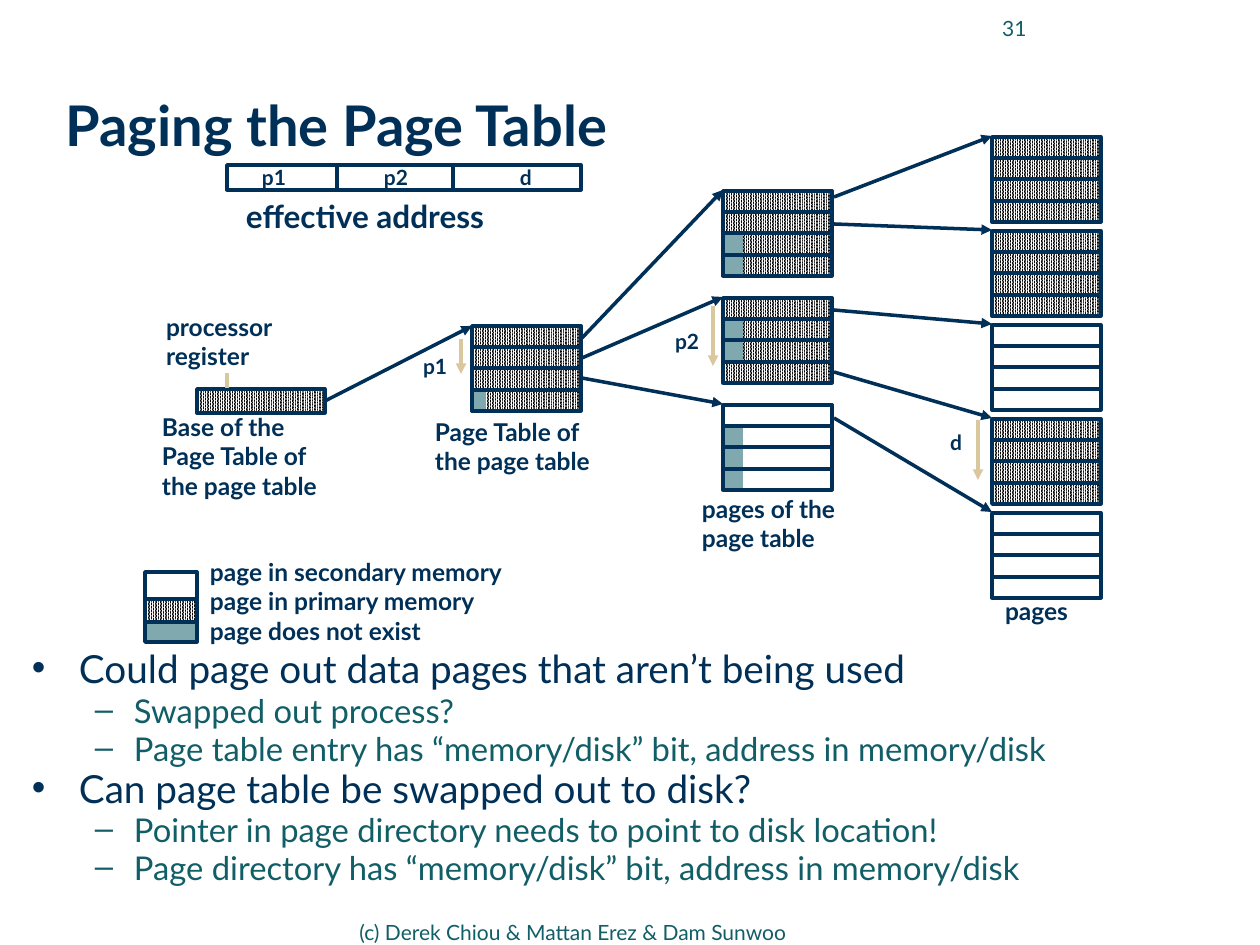
from dataclasses import dataclass

from lxml import etree
from pptx import Presentation
from pptx import util as u
from pptx.dml import color
from pptx.enum import dml, shapes, text
from pptx.oxml import ns

SCALE = 914400 / 126


def emu(px):
    return u.Emu(round(px * SCALE))


def rgb(value):
    return color.RGBColor.from_string(value)


@dataclass(frozen=True)
class Theme:
    font: str = "Lato"
    navy: str = "003057"
    teal: str = "115E67"
    absent: str = "7FA9AE"
    sand: str = "D9C89E"
    white: str = "FFFFFF"
    black: str = "000000"
    title: float = 32
    heading: float = 18
    label: float = 14
    small: float = 12
    bullet: float = 22.1
    dash: float = 18.7
    line: float = 2


THEME = Theme()


@dataclass(frozen=True)
class Box:
    left: int
    top: int
    width: int
    height: int

    def inner(self, left, top, width, height):
        return Box(self.left + left, self.top + top, width, height)

    def point(self, left, top):
        return self.left + left, self.top + top

    def emus(self):
        return [emu(px) for px in (self.left, self.top, self.width, self.height)]


def add_xml(parent, tag, **attributes):
    return etree.SubElement(parent, ns.qn(tag), attributes)


def style(para, size, ink=THEME.navy, bold=False):
    for span in para.runs:
        span.font.name = THEME.font
        span.font.size = u.Pt(size)
        span.font.bold = bold
        span.font.color.rgb = rgb(ink)


def set_insets(frame, across, down):
    frame.margin_left = frame.margin_right = emu(across)
    frame.margin_top = frame.margin_bottom = emu(down)


def add_label(page, box, wording, size=THEME.label):
    frame = page.shapes.add_textbox(*box.emus()).text_frame
    frame.word_wrap = False
    frame.auto_size = text.MSO_AUTO_SIZE.SHAPE_TO_FIT_TEXT
    set_insets(frame, 10, 5)
    frame.text = wording
    for para in frame.paragraphs:
        style(para, size, bold=True)
    return frame


def add_note(page, box, wording, align):
    frame = page.shapes.add_textbox(*box.emus()).text_frame
    frame.word_wrap = True
    frame.vertical_anchor = text.MSO_ANCHOR.MIDDLE
    frame.text = wording
    frame.paragraphs[0].alignment = align
    style(frame.paragraphs[0], THEME.small, THEME.teal)


def add_rect(page, box, fill=None, dotted=False, outlined=False):
    rect = page.shapes.add_shape(shapes.MSO_SHAPE.RECTANGLE, *box.emus())
    rect.shadow.inherit = False
    if dotted:
        rect.fill.patterned()
        rect.fill.pattern = dml.MSO_PATTERN.PERCENT_90
        rect.fill.fore_color.rgb = rgb(THEME.white)
        rect.fill.back_color.rgb = rgb(THEME.black)
    elif fill:
        rect.fill.solid()
        rect.fill.fore_color.rgb = rgb(fill)
    else:
        rect.fill.background()
    if outlined:
        rect.line.color.rgb = rgb(THEME.navy)
        rect.line.width = u.Pt(THEME.line)
    else:
        rect.line.fill.background()
    return rect


def add_line(page, start, end, ink=THEME.navy, arrow=False):
    ends = [emu(px) for px in (*start, *end)]
    line = page.shapes.add_connector(shapes.MSO_CONNECTOR.STRAIGHT, *ends)
    line.line.color.rgb = rgb(ink)
    line.line.width = u.Pt(THEME.line)
    if arrow:
        add_xml(line.line._get_or_add_ln(), "a:tailEnd", type="triangle")
    add_xml(line._element.spPr, "a:effectLst")
    return line


def add_offset(page, box, wording, label_box, length):
    add_line(page, box.point(0, 0), box.point(0, length), THEME.sand, arrow=True)
    add_label(page, label_box, wording, THEME.small)


def add_block(page, box, primary, absent_rows=None, absent_width=20):
    row = box.height / 4
    if primary:
        add_rect(page, box, dotted=True)
    if absent_rows:
        first, count = absent_rows
        add_rect(page, box.inner(0, round(first * row), absent_width, round(count * row)),
                 THEME.absent)
    add_rect(page, box, outlined=True)
    for index in (1, 2, 3):
        level = round(index * row)
        add_line(page, box.point(-1, level), box.point(box.width + 2, level))


def add_column(page, box, pitch, blocks):
    places = [box.inner(0, index * pitch, 109, 85) for index in range(len(blocks))]
    for place, (primary, absent_rows) in zip(places, blocks):
        add_block(page, place, primary, absent_rows)
    return places


def add_links(page, left, starts, targets):
    for start, target in zip(starts, targets):
        add_line(page, (left, start), target.point(0, -1), arrow=True)


def add_address(page, box):
    add_rect(page, box, THEME.white, outlined=True)
    for left in (110, 226):
        add_line(page, box.point(left, 0), box.point(left, box.height))
    frame = add_label(page, box.inner(25, -5, 291, 35), "p1\tp2\td", THEME.small)
    stops = add_xml(frame.paragraphs[0]._p.get_or_add_pPr(), "a:tabLst")
    for left in (122, 258):
        add_xml(stops, "a:tab", pos=str(emu(left)), algn="l")
    add_label(page, box.inner(9, 27, 263, 48), "effective address", THEME.heading)


def add_register(page, box, target):
    register = add_rect(page, box, dotted=True, outlined=True)
    add_label(page, box.inner(-41, -82, 130, 69), "processor\nregister")
    add_label(page, box.inner(-45, 18, 176, 100), "Base of the\nPage Table of\nthe page table")
    add_line(page, box.point(30, -16), box.point(30, -1), THEME.sand)
    middle = box.point(box.width, box.height // 2)
    arrow = add_line(page, middle, target.point(0, 0), arrow=True)
    arrow.begin_connect(register, 3)


def add_legend(page, box):
    add_rect(page, box.inner(0, 27, box.width, 23), dotted=True)
    add_rect(page, box.inner(0, 50, box.width, 20), THEME.absent)
    add_rect(page, box, outlined=True)
    for level in (27, 50):
        add_line(page, box.point(0, level), box.point(box.width, level))
    add_label(page, box.inner(55, -20, 316, 100),
              "page in secondary memory\npage in primary memory\npage does not exist")


def add_diagram(page, box):
    directory = box.inner(327, 189, 109, 85)
    add_block(page, directory, True, (3, 1), 14)
    add_label(page, directory.inner(-47, 86, 176, 69), "Page Table of\nthe page table")
    tables = add_column(page, box.inner(578, 54, 109, 299), 107,
                        [(True, (2, 2)), (True, (1, 2)), (False, (1, 3))])
    add_label(page, tables[-1].inner(-31, 84, 154, 69), "pages of the\npage table")
    leaves = add_column(page, box.inner(847, 0, 109, 461), 94,
                        [(kept, None) for kept in (True, True, False, True, False)])
    add_label(page, leaves[-1].inner(3, 78, 84, 40), "pages")
    add_links(page, 582, (338, 358, 378), tables)
    add_links(page, 834, (197, 224, 310, 372, 418), leaves)
    add_register(page, box.inner(52, 252, 128, 24), directory)
    add_offset(page, directory.inner(-11, 13, 0, 0), "p1", directory.inner(-59, 23, 45, 35), 35)
    add_offset(page, tables[1].inner(-10, 8, 0, 0), "p2", tables[1].inner(-58, 26, 45, 35), 60)
    add_offset(page, leaves[3].inner(-14, 1, 0, 0), "d", leaves[3].inner(-52, 6, 33, 35), 60)
    add_address(page, box.inner(82, 28, 354, 25))
    add_legend(page, box.inner(0, 435, 52, 70))


def place(holder, box):
    holder.left, holder.top, holder.width, holder.height = box.emus()
    holder.text_frame.auto_size = text.MSO_AUTO_SIZE.NONE
    return holder.text_frame


def fill_title(page, box):
    frame = place(page.shapes.title, box)
    frame.vertical_anchor = text.MSO_ANCHOR.MIDDLE
    frame.text = "Paging the Page Table"
    frame.paragraphs[0].alignment = text.PP_ALIGN.LEFT
    style(frame.paragraphs[0], THEME.title, bold=True)


def fill_body(page, box, items):
    frame = place(page.placeholders[1], box)
    set_insets(frame, 0, 0)
    frame.text = "\n".join(wording for _, wording in items)
    looks = [("•", 47, 47, 6.5, THEME.bullet, THEME.navy),
             ("–", 102, 39, 6, THEME.dash, THEME.teal)]
    for index, (para, (level, _)) in enumerate(zip(frame.paragraphs, items)):
        mark, left, hang, before, size, ink = looks[level]
        para.level = level
        para.line_spacing = 0.7
        para.space_before = u.Pt(before if index else 0)
        properties = para._p.get_or_add_pPr()
        properties.set("marL", str(emu(left)))
        properties.set("indent", str(-emu(hang)))
        add_xml(add_xml(properties, "a:buClr"), "a:srgbClr", val=ink)
        add_xml(properties, "a:buChar", char=mark)
        style(para, size, ink)


def main():
    deck = Presentation()
    deck.slide_width, deck.slide_height = emu(1260), emu(945)
    page = deck.slides.add_slide(deck.slide_layouts[1])
    fill_title(page, Box(53, 63, 1186, 123))
    add_note(page, Box(924, -3, 115, 63), "31", text.PP_ALIGN.RIGHT)
    add_diagram(page, Box(145, 137, 956, 505))
    fill_body(page, Box(32, 658, 1196, 256), [
        (0, "Could page out data pages that aren’t being used"),
        (1, "Swapped out process?"),
        (1, "Page table entry has “memory/disk” bit, address in memory/disk"),
        (0, "Can page table be swapped out to disk?"),
        (1, "Pointer in page directory needs to point to disk location!"),
        (1, "Page directory has “memory/disk” bit, address in memory/disk"),
    ])
    add_note(page, Box(347, 908, 567, 48), "(c) Derek Chiou & Mattan Erez & Dam Sunwoo",
             text.PP_ALIGN.LEFT)
    deck.save("out.pptx")


if __name__ == "__main__":
    main()
